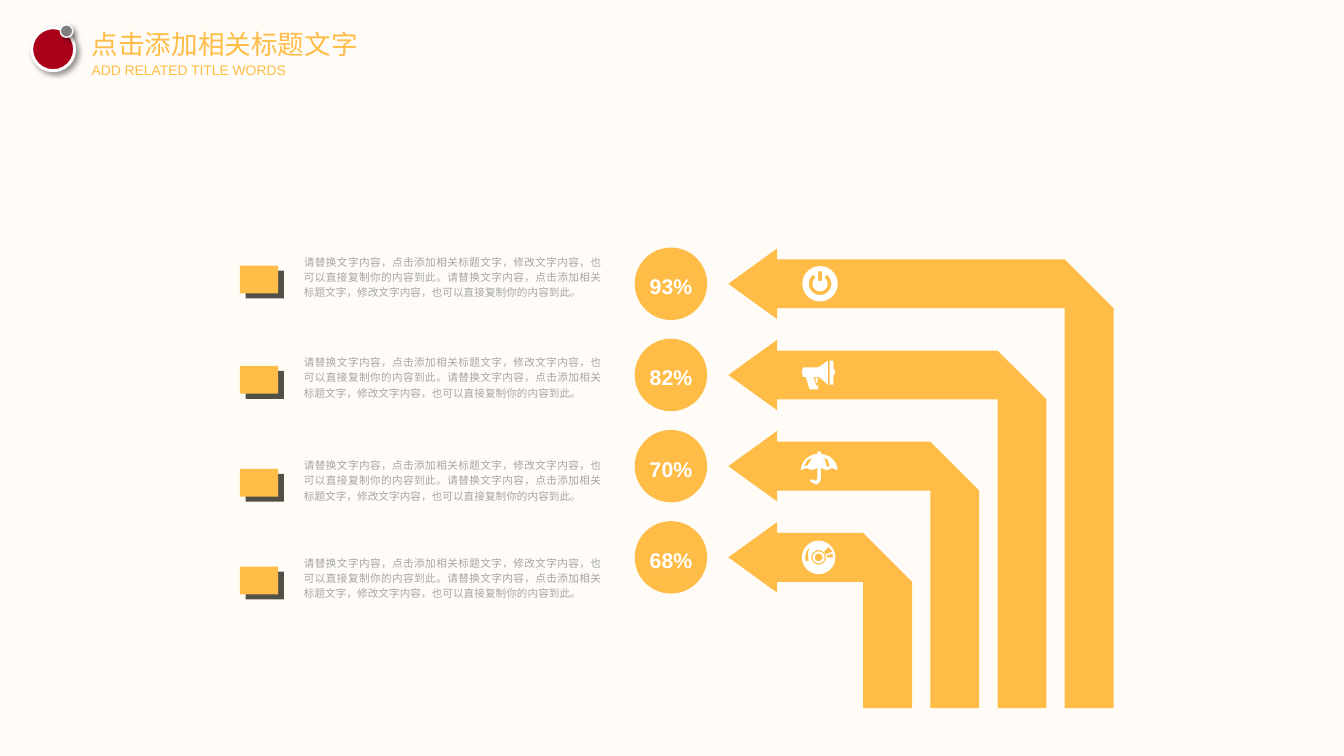
import math

import lxml.etree
import pptx
import pptx.dml.color
import pptx.enum.shapes
import pptx.enum.text
import pptx.oxml
import pptx.oxml.ns
import pptx.util

Pt = pptx.util.Pt
SHAPE = pptx.enum.shapes.MSO_SHAPE
ALIGN = pptx.enum.text.PP_ALIGN
ANCHOR = pptx.enum.text.MSO_ANCHOR

ORANGE, WHITE, DARK, GREY = "FFBD47", "FFFFFF", "505046", "A5A5A5"
DESCRIPTION = (
    "请替换文字内容，点击添加相关标题文字，修改文字内容，也可以直接复制你的内容到此。" * 2
)


def paint(fill, color):
    """Make a fill solid in a hex colour."""
    fill.solid()
    fill.fore_color.rgb = pptx.dml.color.RGBColor.from_string(color)


def arc(center_x, center_y, radius_x, radius_y, start=0, end=360):
    """Return points along an elliptical arc, angles in degrees."""
    angles = [math.radians(start + (end - start) * step / 40) for step in range(41)]
    return [
        (center_x + radius_x * math.cos(angle), center_y + radius_y * math.sin(angle))
        for angle in angles
    ]


presentation = pptx.Presentation()
presentation.slide_width = Pt(1012.3)
presentation.slide_height = Pt(569.5)
slide = presentation.slides.add_slide(presentation.slide_layouts[5])
shapes = slide.shapes
paint(slide.background.fill, "FFFCF8")

# Icon contours, measured from the icon centre; inner contours are holes
power_icon = [
    arc(0.7, 0, 13.3, 13.3),
    [(-0.7, -9.4), (2.2, -9.4), (2.2, -2.2), (-0.7, -2.2)],
    arc(0.7, 0, 8.5, 8.5, -54, 234) + arc(0.7, 0, 5.7, 5.7, 234, -54),
]
megaphone_icon = [
    [(-12.2, -5.8), (-0.7, -5.8), (0.7, -6.5), (6.5, -10.8), (6.5, 7.2),
     (0.7, 2.2), (-0.7, 1.4), (-4.3, 1.4), (-2.2, 7.9), (-0.7, 7.9),
     (-0.7, 10.8), (-7.2, 10.8), (-10.1, 1.4), (-12.2, 1.4), (-13, -2.2)],
    [(7.9, -10.8), (10.8, -10.8), (10.8, -5), (12.2, -2.2), (10.8, 0.7),
     (10.8, 7.2), (7.9, 7.2)],
    [(-0.7, 2.2), (-2.9, 2.2), (-2.2, 5.8), (-1.4, 5.8), (-1.4, 4.3)],
]
umbrella_icon = [
    arc(0, 2.9, 13.7, 12.2, 180, 360)
    + [(9.7, 1.4), (5.8, 2.9), (1.4, 1.4), (1.4, 9.4), (0.7, 11.5),
       (-0.7, 13), (-2.2, 13.7), (-4.3, 13), (-6.5, 11.5), (-7.2, 10.1),
       (-4.3, 10.1), (-3.6, 10.8), (-2.9, 10.8), (-1.8, 10.2), (-1.4, 9.4),
       (-1.4, 1.4), (-5.8, 2.9), (-9.7, 1.4)],
    [(-1.4, -11), (1.4, -11), (1.4, -9.3), (-1.4, -9.3)],
    [(5.8, 0.7), (7.9, 0), (6.5, -5), (1.4, -7.2), (4.3, -5)],
    [(-11.5, 0), (-8.6, -0.7), (-5, -6.5), (-9, -4.5)],
]
disc_icon = [arc(-0.4, 0, radius, radius) for radius in (12.6, 5.5, 4.5, 2.9)] + [
    [(-7.2, -7.9), (-9.7, -4.3), (-10.6, 0), (-10.1, 2.9), (-7.9, 2.9), (-8.4, -2.9)],
    [(3.6, -4.3), (5, -2.2), (10.1, -4.3), (7.2, -7.9)],
    [(10.1, -2.9), (5.8, -1.4), (5.8, 0), (10.4, 0)],
]

rows = [
    ("93%", power_icon, 187.2),
    ("82%", megaphone_icon, 262.8),
    ("70%", umbrella_icon, 340.4),
    ("68%", disc_icon, 414),
]
TIP, HEAD, HEAD_HALF, SHAFT_HALF, BOTTOM = 548.6, 36.8, 26.6, 18.4, 533.5
texts = []  # frame, size, colour, bold, alignment, line spacing

for index, (percent, icon, text_top) in enumerate(rows):
    middle = 213.8 + 68.7 * index
    right = 838.8 - 50.6 * index

    circle = shapes.add_shape(
        SHAPE.OVAL, Pt(478.1), Pt(middle - 27.3), Pt(54.6), Pt(54.6))
    circle.shadow.inherit = False
    paint(circle.fill, ORANGE)
    circle.line.fill.background()
    frame = circle.text_frame
    frame.text = percent
    frame.margin_left = frame.margin_right = 0
    frame.vertical_anchor = ANCHOR.MIDDLE
    texts.append((frame, 16, WHITE, True, ALIGN.CENTER, 1.2))

    # Bent arrow pointing left, then its icon
    neck, inner = TIP + HEAD, right - 2 * SHAFT_HALF
    top, bottom = middle - SHAFT_HALF, middle + SHAFT_HALF
    arrow = [[
        (TIP, middle), (neck, middle - HEAD_HALF), (neck, top), (inner, top),
        (right, bottom), (right, BOTTOM), (inner, BOTTOM), (inner, bottom),
        (neck, bottom), (neck, middle + HEAD_HALF),
    ]]
    placed_icon = [[(617 + x, middle + y) for x, y in contour] for contour in icon]
    for contours, color in ((arrow, ORANGE), (placed_icon, WHITE)):
        points = [[(Pt(x), Pt(y)) for x, y in contour] for contour in contours]
        builder = shapes.build_freeform(*points[0][0], scale=1.0)
        builder.add_line_segments(points[0][1:], close=True)
        for contour in points[1:]:
            builder.move_to(*contour[0])
            builder.add_line_segments(contour[1:], close=True)
        outline = builder.convert_to_shape()
        outline.shadow.inherit = False
        paint(outline.fill, color)
        outline.line.fill.background()

    for left, offset, color in ((185.1, 16.6, DARK), (180.7, 12.8, ORANGE)):
        marker = shapes.add_shape(
            SHAPE.RECTANGLE, Pt(left), Pt(text_top + offset), Pt(28.8), Pt(21))
        marker.shadow.inherit = False
        paint(marker.fill, color)
        marker.line.fill.background()

    description = shapes.add_textbox(Pt(221.8), Pt(text_top), Pt(238.3), Pt(42.5))
    description.text_frame.text = DESCRIPTION
    texts.append((description.text_frame, 8, GREY, False, ALIGN.JUSTIFY, 1.2))

# Heading
title = shapes.title
title.left, title.top, title.width, title.height = Pt(69.1), Pt(20.9), Pt(202), Pt(24.5)
subtitle = shapes.add_textbox(Pt(69.1), Pt(46.1), Pt(150), Pt(13))
for shape, text, size in (
    (title, "点击添加相关标题文字", 20),
    (subtitle, "ADD RELATED TITLE WORDS", 10.5),
):
    frame = shape.text_frame
    frame.text = text
    frame.margin_left = frame.margin_right = frame.margin_top = frame.margin_bottom = 0
    frame.vertical_anchor = ANCHOR.TOP
    texts.append((frame, size, ORANGE, False, ALIGN.LEFT, 1.0))

for frame, size, color, bold, alignment, spacing in texts:
    frame.word_wrap = True
    frame.auto_size = pptx.enum.text.MSO_AUTO_SIZE.NONE
    paragraph = frame.paragraphs[0]
    paragraph.alignment = alignment
    paragraph.line_spacing = spacing
    font = paragraph.runs[0].font
    font.name, font.size, font.bold = "Arial", Pt(size), bold
    paint(font.fill, color)

# Shadowed badge beside the heading
for left, top, size, color, border in (
    (23.8, 20.9, 32.4, "AB0019", 2.25),
    (45.4, 18.7, 9.4, "7F7F7F", 1),
):
    badge = shapes.add_shape(SHAPE.OVAL, Pt(left), Pt(top), Pt(size), Pt(size))
    paint(badge.fill, color)
    paint(badge.line.fill, WHITE)
    badge.line.width = Pt(border)
    badge.shadow.inherit = False
    effects = badge.element.spPr.find(pptx.oxml.ns.qn("a:effectLst"))
    shadow = lxml.etree.SubElement(
        effects, pptx.oxml.ns.qn("a:outerShdw"),
        blurRad=str(Pt(4)), dist=str(Pt(3)), dir="2700000", algn="tl", rotWithShape="0")
    black = lxml.etree.SubElement(shadow, pptx.oxml.ns.qn("a:srgbClr"), val="000000")
    lxml.etree.SubElement(black, pptx.oxml.ns.qn("a:alpha"), val="40000")

presentation.save("out.pptx")
